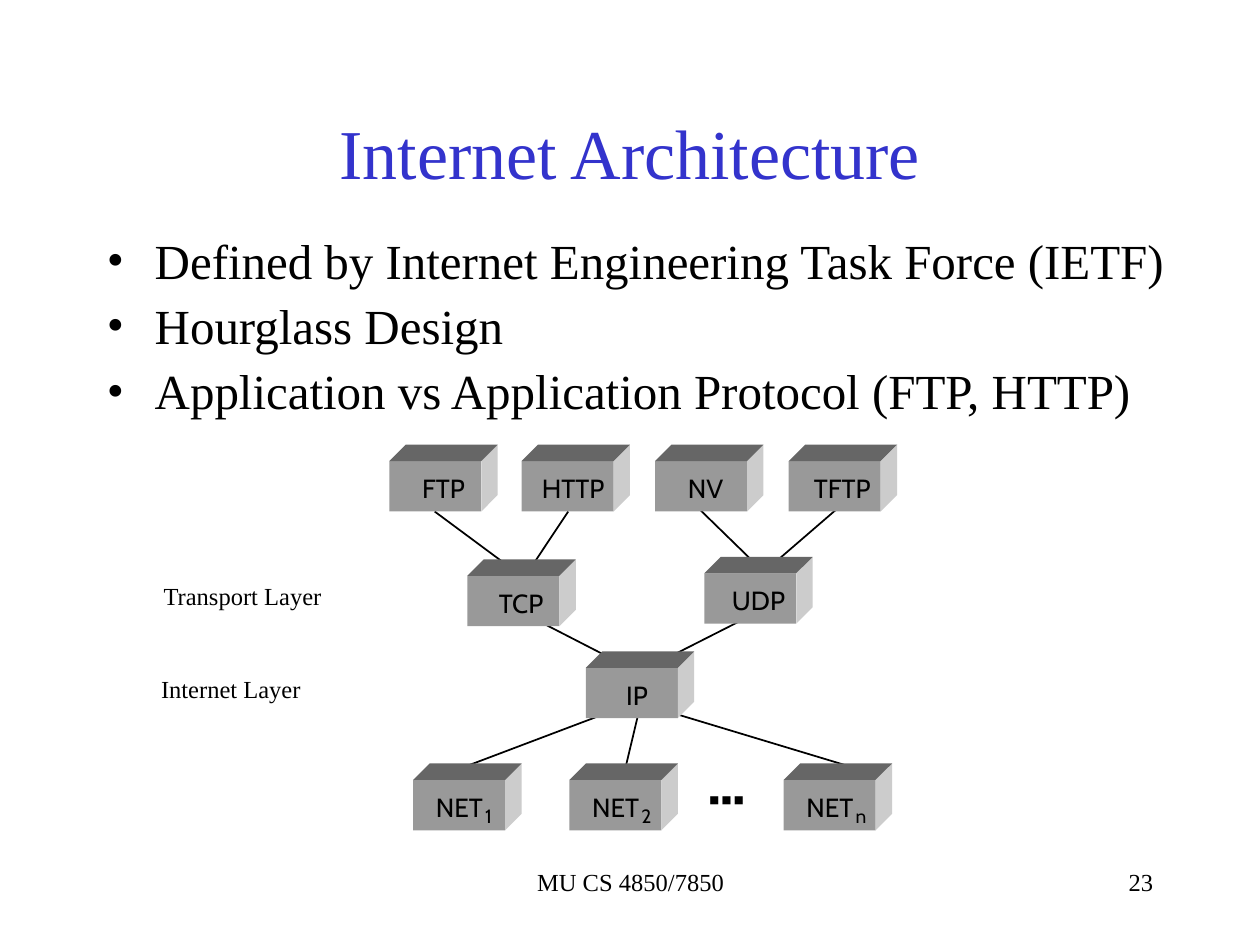
"""Build the Internet Architecture slide with its hourglass protocol diagram."""
from dataclasses import dataclass

from lxml import etree
from pptx import Presentation
from pptx import util as u
from pptx.dml.color import RGBColor
from pptx.enum import shapes, text
from pptx.oxml import ns

COLORS = {"ink": "000000", "title": "3333CC", "front": "999999",
          "side": "CCCCCC", "top": "666666"}
SERIF, SANS = "Times New Roman", "Cabin"
FRONT_W, FRONT_H, DEPTH = 0.73, 0.4, 0.13
APP_Y, NET_Y = 3.53, 6.06
LEFT, CENTER, RIGHT = text.PP_ALIGN.LEFT, text.PP_ALIGN.CENTER, text.PP_ALIGN.RIGHT


@dataclass(frozen=True)
class Block:
    """A box drawn in depth, with its label offset from its left edge."""
    label: str
    x: float
    y: float
    dx: float
    width: float
    sub: str = ""


@dataclass(frozen=True)
class Link:
    """A straight line between two points."""
    x1: float
    y1: float
    x2: float
    y2: float


BLOCKS = [
    Block("FTP", 3.09, APP_Y, 0.26, 0.35),
    Block("HTTP", 4.14, APP_Y, 0.16, 0.51),
    Block("NV", 5.2, APP_Y, 0.26, 0.3),
    Block("TFTP", 6.26, APP_Y, 0.2, 0.47),
    Block("TCP", 3.71, 4.44, 0.25, 0.37),
    Block("UDP", 5.59, 4.42, 0.22, 0.43),
    Block("IP", 4.65, 5.17, 0.32, 0.2),
    Block("NET", 3.28, NET_Y, 0.18, 0.39, "1"),
    Block("NET", 4.52, NET_Y, 0.18, 0.39, "2"),
    Block("NET", 6.22, NET_Y, 0.18, 0.39, "n"),
]
LINKS = [
    Link(3.45, 4.06, 3.99, 4.46), Link(4.51, 4.06, 4.25, 4.45),
    Link(5.56, 4.05, 5.95, 4.43), Link(6.63, 4.05, 6.19, 4.43),
    Link(4.14, 4.86, 4.86, 5.23), Link(6.01, 4.86, 5.28, 5.23),
    Link(4.84, 5.65, 3.73, 6.07), Link(5.07, 5.65, 4.97, 6.07),
    Link(6.7, 6.07, 5.31, 5.65),
]
BULLETS = ["Defined by Internet Engineering Task Force (IETF)", "Hourglass Design",
           "Application vs Application Protocol (FTP, HTTP)"]


def rgb(name: str) -> RGBColor:
    """Look up a named colour."""
    return RGBColor.from_string(COLORS[name])


def write(p, words: str, *, size: float, font: str = SERIF, color: str = "ink",
          align=LEFT) -> None:
    """Add formatted text to a paragraph."""
    p.alignment = align
    r = p.add_run()
    r.text = words
    r.font.size, r.font.name = u.Pt(size), font
    r.font.color.rgb = rgb(color)


def add_box(s, x: float, y: float, w: float, h: float):
    """Add an empty wrapping text box and return its text frame."""
    tf = s.shapes.add_textbox(*map(u.Inches, (x, y, w, h))).text_frame
    tf.word_wrap = True
    return tf


def add_label(s, words: str, x: float, y: float, w: float, h: float, size: float) -> None:
    """Add a tight diagram label that grows with its text."""
    tf = add_box(s, x, y, w, h)
    tf.word_wrap = False
    tf.auto_size = text.MSO_AUTO_SIZE.SHAPE_TO_FIT_TEXT
    tf.margin_left = tf.margin_right = tf.margin_top = tf.margin_bottom = 0
    write(tf.paragraphs[0], words, size=size, font=SANS)


def paint(sp, color: str) -> None:
    """Give a shape a flat fill without outline or shadow."""
    sp.shadow.inherit = False
    sp.fill.solid()
    sp.fill.fore_color.rgb = rgb(color)
    sp.line.fill.background()


def add_face(s, points: list[tuple[float, float]], color: str) -> None:
    """Draw one slanted face of a block."""
    pts = [(u.Inches(x), u.Inches(y)) for x, y in points]
    fb = s.shapes.build_freeform(*pts[0])
    fb.add_line_segments(pts[1:], close=True)
    paint(fb.convert_to_shape(), color)


def add_block(s, b: Block) -> None:
    """Draw the front, side and top of a block, then its label."""
    x, y = b.x, b.y + DEPTH
    right, bottom = x + FRONT_W, y + FRONT_H
    front = s.shapes.add_shape(shapes.MSO_SHAPE.RECTANGLE,
                               *map(u.Inches, (x, y, FRONT_W, FRONT_H)))
    paint(front, "front")
    add_face(s, [(right + DEPTH, b.y), (right + DEPTH, bottom - DEPTH),
                 (right, bottom), (right, y)], "side")
    add_face(s, [(x, y), (x + DEPTH, b.y), (right + DEPTH, b.y), (right, y)], "top")
    add_label(s, b.label, x + b.dx, b.y + 0.22, b.width, 0.25, 15)
    if b.sub:
        add_label(s, b.sub, x + 0.57, b.y + 0.32, 0.1, 0.18, 11)


def add_link(s, link: Link) -> None:
    """Draw a thin connecting line."""
    c = s.shapes.add_connector(shapes.MSO_CONNECTOR.STRAIGHT,
                               *map(u.Inches, (link.x1, link.y1, link.x2, link.y2)))
    c.line.width = u.Pt(1)
    c.line.color.rgb = rgb("ink")
    etree.SubElement(c._element.spPr, ns.qn("a:effectLst"))


def add_bullet(p, words: str) -> None:
    """Fill a paragraph as a hanging bullet."""
    p.line_spacing, p.space_before = 0.9, u.Pt(7)
    write(p, words, size=28)
    pPr = p._p.get_or_add_pPr()
    pPr.set("marL", str(u.Inches(0.38)))
    pPr.set("indent", str(-u.Inches(0.38)))
    etree.SubElement(pPr, ns.qn("a:buFont")).set("typeface", SERIF)
    etree.SubElement(pPr, ns.qn("a:buChar")).set("char", "•")


def main() -> None:
    """Compose and save the slide."""
    prs = Presentation()
    prs.slide_width, prs.slide_height = u.Inches(10), u.Inches(7.5)
    s = prs.slides.add_slide(prs.slide_layouts[5])

    title = s.shapes.title
    title.left, title.top = u.Inches(0.75), u.Inches(0.58)
    title.width, title.height = u.Inches(8.5), u.Inches(1.25)
    title.text_frame.vertical_anchor = text.MSO_ANCHOR.MIDDLE
    write(title.text_frame.paragraphs[0], "Internet Architecture", size=40,
          color="title", align=CENTER)

    tf = add_box(s, 0.75, 1.83, 8.83, 4.5)
    for i, words in enumerate(BULLETS):
        add_bullet(tf.add_paragraph() if i else tf.paragraphs[0], words)

    for link in LINKS:
        add_link(s, link)
    for block in BLOCKS:
        add_block(s, block)
    add_label(s, "■ ■ ■", 5.63, 6.29, 0.28, 0.1, 6)

    for words, x, y, w, h, align in [
        ("Transport Layer", 1.2, 4.56, 1.57, 0.34, LEFT),
        ("Internet Layer", 1.18, 5.3, 1.57, 0.34, LEFT),
        ("MU CS 4850/7850", 3.42, 6.83, 3.17, 0.5, CENTER),
        ("23", 7.17, 6.83, 2.08, 0.5, RIGHT),
    ]:
        write(add_box(s, x, y, w, h).paragraphs[0], words, size=14, align=align)

    prs.save("out.pptx")


if __name__ == "__main__":
    main()
